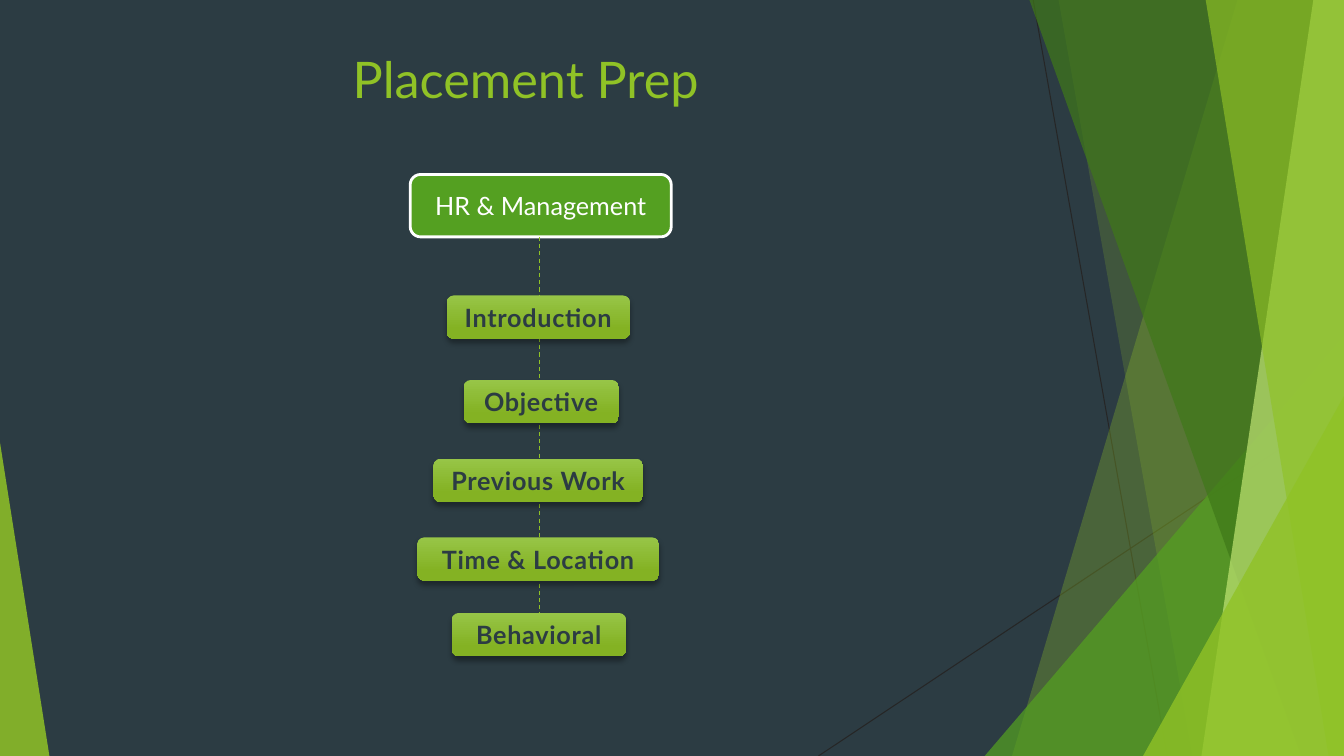
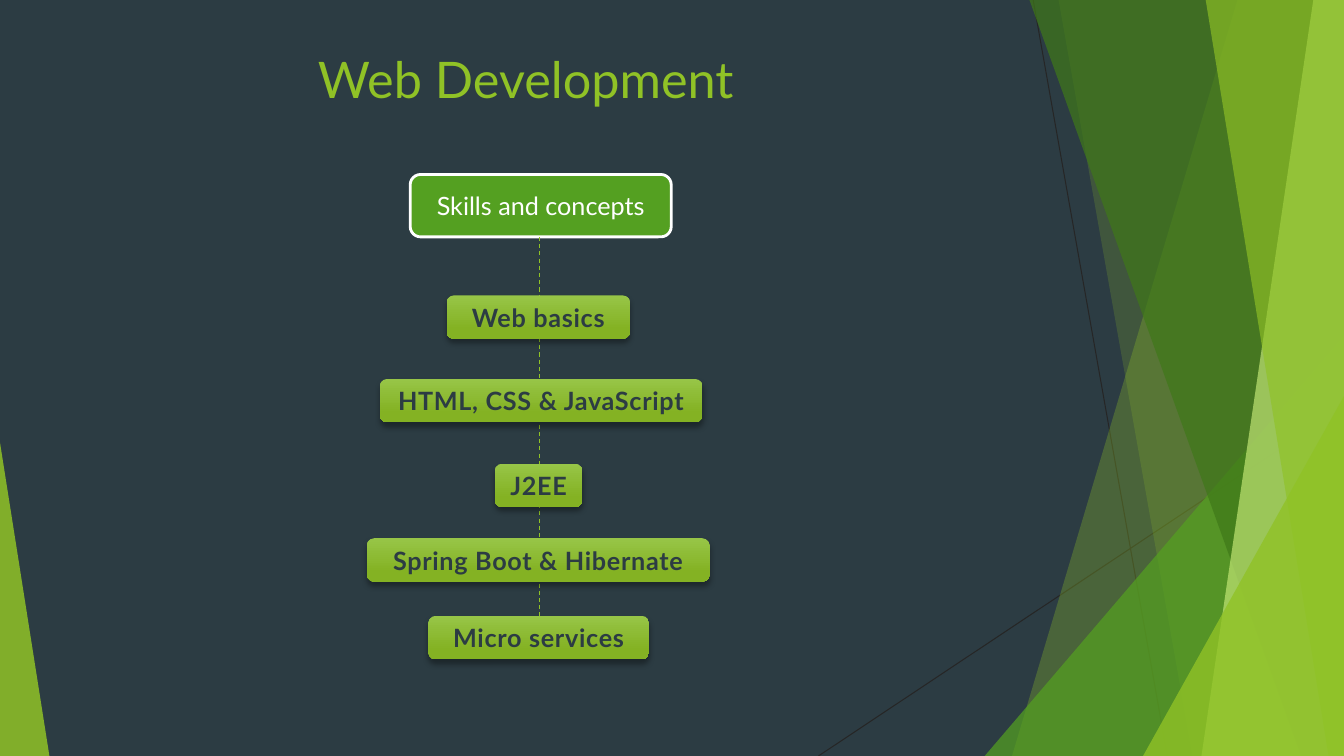
from dataclasses import dataclass
from lxml.etree import SubElement as Sub
from pptx import Presentation
from pptx.dml.color import RGBColor as Rgb
from pptx.enum.dml import MSO_LINE as Dash
from pptx.enum.shapes import MSO_CONNECTOR as Link, MSO_SHAPE as Kind
from pptx.enum.text import MSO_ANCHOR as Anchor, PP_ALIGN as Align
from pptx.oxml.ns import qn
from pptx.util import Pt


@dataclass(frozen=True)
class Theme:
    font: str = "Lato"
    back: str = "2C3C43"
    lime: str = "90C226"
    green: str = "54A021"
    moss: str = "3F7819"
    pale: str = "C0E474"
    dark: str = "262626"
    white: str = "FFFFFF"
    light: str = "97C547"
    deep: str = "84B223"
    black: str = "000000"
    big: int = 36
    body: int = 18


class Page:
    wide, high, edge = 960, 540, -0.7

    def __init__(self, theme):
        self.theme = theme
        self.deck = Presentation()
        self.deck.slide_width = Pt(self.wide)
        self.deck.slide_height = Pt(self.high)
        fill = self.deck.slide_master.background.fill
        fill.solid()
        fill.fore_color.rgb = Rgb.from_string(theme.back)
        self.base = self.deck.slide_layouts[5]
        self.slide = None

    def start(self, title):
        self.slide = self.deck.slides.add_slide(self.base)
        head = self.slide.shapes.title
        head.left, head.top, head.width, head.height = map(Pt, (46.8, 31, 657.4, 77.8))
        self.label(head, title, self.theme.big, self.theme.lime, Anchor.TOP)

    def label(self, shape, text, size, color, anchor=Anchor.MIDDLE, bold=False):
        frame = shape.text_frame
        frame.word_wrap = True
        frame.vertical_anchor = anchor
        line = frame.paragraphs[0]
        line.alignment = Align.CENTER
        run = line.add_run()
        run.text = text
        font = run.font
        font.name, font.size, font.bold = self.theme.font, Pt(size), bold
        font.color.rgb = Rgb.from_string(color)

    def paint(self, shape, color, alpha=100):
        shape.shadow.inherit = False
        shape.line.fill.background()
        shape.fill.solid()
        shape.fill.fore_color.rgb = Rgb.from_string(color)
        if alpha < 100:
            tone = shape.element.spPr.find(".//" + qn("a:srgbClr"))
            Sub(tone, qn("a:alpha"), val=str(alpha * 1000))
        return shape

    def line(self, x, y, right, end, color, dash=None):
        link = self.slide.shapes.add_connector(Link.STRAIGHT, *map(Pt, (x, y, right, end)))
        link.line.width = Pt(0.75)
        link.line.color.rgb = Rgb.from_string(color)
        if dash:
            link.line.dash_style = dash
        Sub(link.element.spPr, qn("a:effectLst"))
        return link

    def band(self, top, foot, color, alpha):
        form = self.slide.shapes.build_freeform(Pt(top), Pt(self.edge), 1.0)
        ends = (self.wide, self.edge), (self.wide, self.high), (foot, self.high)
        form.add_line_segments([(Pt(x), Pt(y)) for x, y in ends], close=True)
        return self.paint(form.convert_to_shape(), color, alpha)

    def wedge(self, x, y, width, peak, color, alpha):
        spot = map(Pt, (x, y, width, self.high - y))
        shape = self.slide.shapes.add_shape(Kind.ISOSCELES_TRIANGLE, *spot)
        shape.adjustments[0] = peak
        return self.paint(shape, color, alpha)

    def dress(self):
        look = self.theme
        parts = [
            self.line(738, 0, 833.8, 540, look.dark),
            self.line(960, 290.2, 584.6, 540, look.dark),
            self.band(884.2, 722.9, look.lime, 30),
            self.band(756, 851.8, look.lime, 20),
            self.wedge(703.4, 239.8, 256.6, 1, look.green, 72),
            self.band(735.1, 929.5, look.moss, 70),
            self.band(938.2, 858.2, look.pale, 70),
            self.band(861.1, 949, look.lime, 65),
            self.wedge(816.5, 283, 143.5, 1, look.lime, 80),
            self.wedge(0, 316.1, 35.3, 0, look.lime, 85),
        ]
        tree = self.base.shapes.element
        for rank, part in enumerate(parts):
            part.element.xpath(".//p:cNvPr")[0].set("id", str(100 + rank))
            tree.insert(2 + rank, part.element)

    def box(self, x, y, width, height):
        spot = map(Pt, (x, y, width, height))
        return self.slide.shapes.add_shape(Kind.ROUNDED_RECTANGLE, *spot)

    def root(self, text):
        look = self.theme
        shape = self.paint(self.box(293, 124.6, 186.5, 44.6), look.green)
        shape.line.color.rgb = Rgb.from_string(look.white)
        shape.line.width = Pt(2)
        self.label(shape, text, look.body, look.white)
        self.line(385.2, 169.2, 385.2, 441.4, look.lime, Dash.DASH)

    def tag(self, text, x, y, width):
        look = self.theme
        shape = self.box(x, y, width, 31)
        shape.line.fill.background()
        shape.fill.gradient()
        shape.fill.gradient_angle = 270
        for stop, place, color in zip(shape.fill.gradient_stops, (0, 0.78), (look.light, look.deep)):
            stop.position = place
            stop.color.rgb = Rgb.from_string(color)
        shape.shadow.inherit = False
        glow = Sub(shape.element.spPr.find(qn("a:effectLst")), qn("a:outerShdw"),
                   blurRad=str(Pt(4)), dist=str(Pt(3)), dir="5400000", rotWithShape="0")
        tone = Sub(glow, qn("a:srgbClr"), val=look.black)
        Sub(tone, qn("a:alpha"), val="35000")
        self.label(shape, text, look.body, look.back, bold=True)
        shape.element.xpath(".//a:rPr")[0].set("spc", "50")


plans = [
    ("Placement Prep", "HR & Management", [
        ("Introduction", 319, 211, 131),
        ("Objective", 331.2, 271.4, 110.9),
        ("Previous Work", 309.6, 327.6, 149.8),
        ("Time & Location", 298.1, 383.8, 172.8),
        ("Behavioral", 322.6, 437.8, 124.6),
    ]),
    ("Web Development", "Skills and concepts", [
        ("Web basics", 319, 211, 131),
        ("HTML, CSS & JavaScript", 271.4, 270.7, 230.4),
        ("J2EE", 353.5, 331.2, 62.6),
        ("Spring Boot & Hibernate", 262.1, 384.5, 244.8),
        ("Micro services", 306, 439.9, 157.7),
    ]),
]

page = Page(Theme())
for rank, (title, root, tags) in enumerate(plans):
    page.start(title)
    if rank == 0:
        page.dress()
    page.root(root)
    for tag in tags:
        page.tag(*tag)
page.deck.save("out.pptx")
